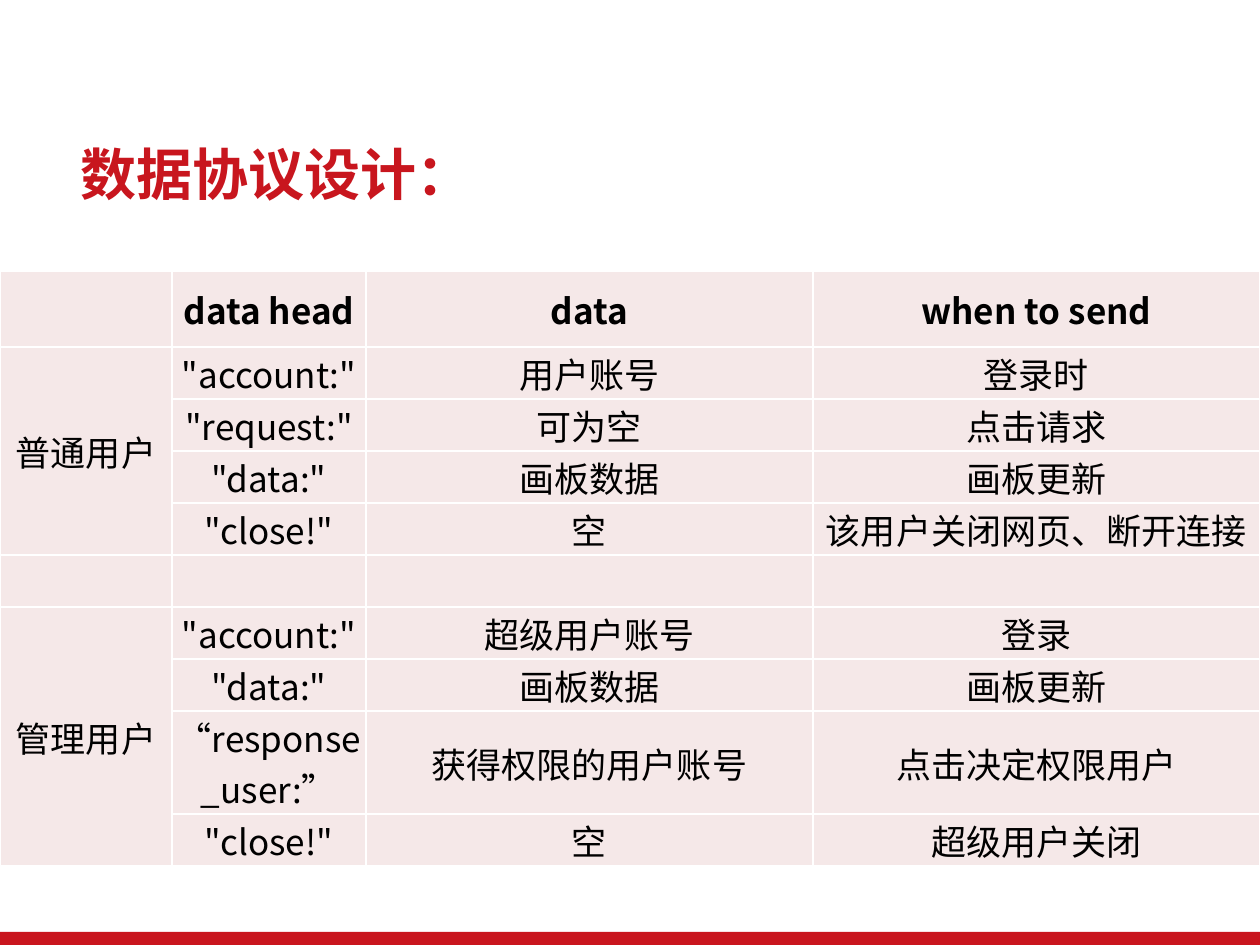
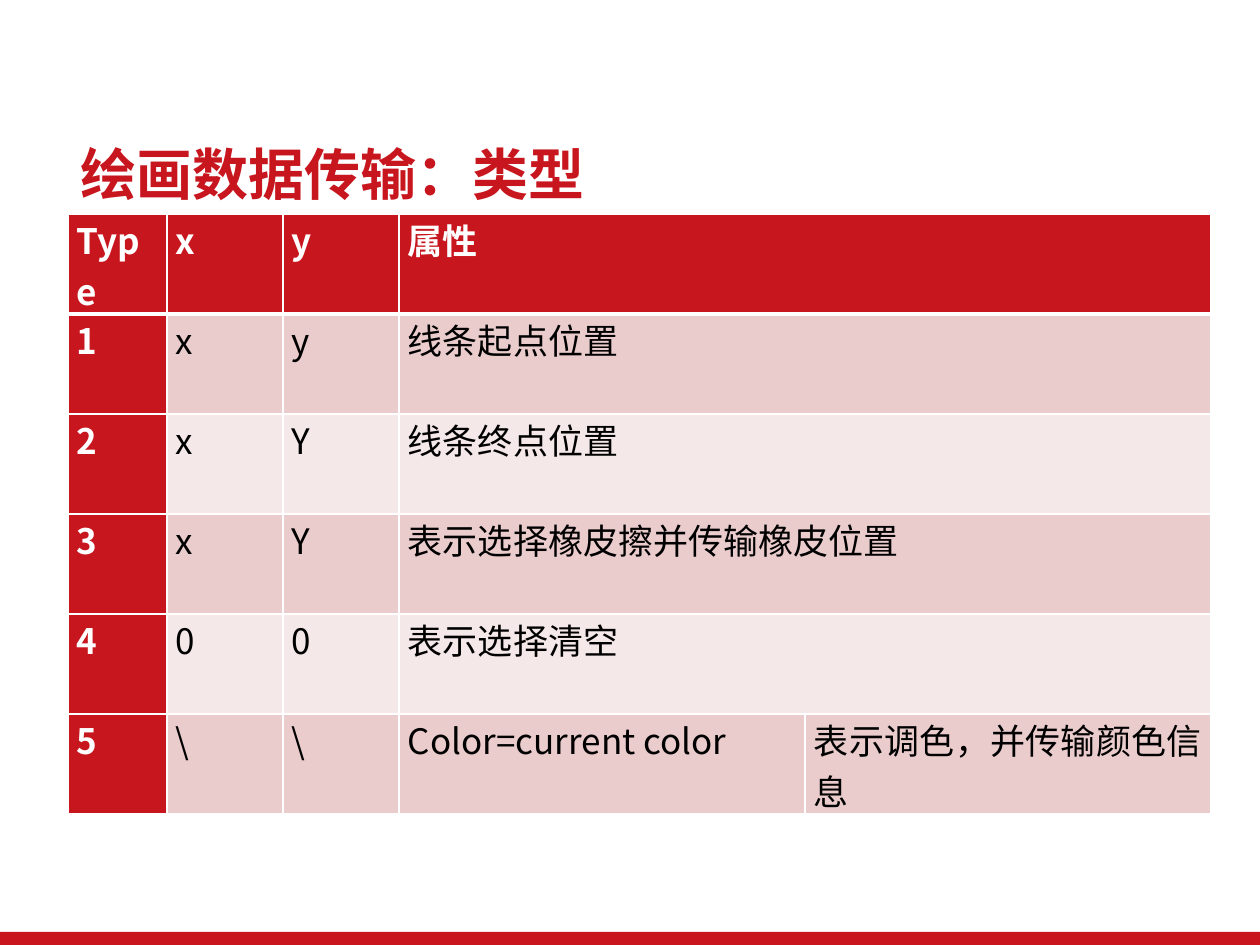
from lxml import etree
from pptx import Presentation
from pptx import util as u
from pptx.dml.color import RGBColor
from pptx.enum import shapes, text
from pptx.oxml import ns

EMU_PER_PX = 914400 / 126
SLIDE_W, SLIDE_H = 1260, 945
BAND_H = 13
FONT = "Noto Sans CJK SC"
COLORS = {
    "band": "C9151E",
    "accent": "C8161E",
    "strong_tint": "EBCCCD",
    "light_tint": "F5E8E8",
    "ink": "000000",
    "white": "FFFFFF",
}

# Formats
TITLE_FRAME = {"word_wrap": True, "vertical_anchor": text.MSO_ANCHOR.BOTTOM}
PROTOCOL_CELL = {"margin_left": 1, "margin_top": 1, "margin_right": 1, "margin_bottom": 0,
                 "vertical_anchor": text.MSO_ANCHOR.MIDDLE}
TYPE_CELL = {"margin_left": 9, "margin_top": 0, "margin_right": 9, "margin_bottom": 0,
             "vertical_anchor": text.MSO_ANCHOR.TOP}

# Contents
PROTOCOL_ROWS = [
    ("", "data head", "data", "when to send"),
    ("普通用户", '"account:"', "用户账号", "登录时"),
    ("", '"request:"', "可为空", "点击请求"),
    ("", '"data:"', "画板数据", "画板更新"),
    ("", '"close!"', "空", "该用户关闭网页、断开连接"),
    ("", "", "", ""),
    ("管理用户", '"account:"', "超级用户账号", "登录"),
    ("", '"data:"', "画板数据", "画板更新"),
    ("", "“response_user:”", "获得权限的用户账号", "点击决定权限用户"),
    ("", '"close!"', "空", "超级用户关闭"),
]
TYPE_ROWS = [
    ("Type", "x", "y", "属性", ""),
    ("1", "x", "y", "线条起点位置", ""),
    ("2", "x", "Y", "线条终点位置", ""),
    ("3", "x", "Y", "表示选择橡皮擦并传输橡皮位置", ""),
    ("4", "0", "0", "表示选择清空", ""),
    ("5", "\\", "\\", "Color=current color", "表示调色，并传输颜色信息"),
]


def px(length):
    return u.Emu(round(length * EMU_PER_PX))


def rgb(name):
    return RGBColor.from_string(COLORS[name])


def apply(target, values):
    for key, value in values.items():
        setattr(target, key, px(value) if key.startswith("margin") else value)


def write(frame, wording, size, color, bold, align):
    paragraph = frame.paragraphs[0]
    paragraph.alignment = align
    if wording:
        run = paragraph.add_run()
        run.text = wording
        apply(run.font, {"name": FONT, "size": u.Pt(size), "bold": bold})
        run.font.color.rgb = rgb(color)
        east_asian = etree.SubElement(run._r.get_or_add_rPr(), ns.qn("a:ea"))
        east_asian.set("typeface", FONT)
    return paragraph


def add_page(deck, heading):
    """Blank slide with the shared bottom band and red heading."""
    page = deck.slides.add_slide(deck.slide_layouts[6])
    band = page.shapes.add_shape(shapes.MSO_SHAPE.RECTANGLE, 0, px(SLIDE_H - BAND_H),
                                 px(SLIDE_W), px(BAND_H))
    band.shadow.inherit = False
    band.fill.solid()
    band.fill.fore_color.rgb = rgb("band")
    band.line.fill.background()

    title = page.shapes.add_textbox(px(68), px(135), px(1154), px(79)).text_frame
    apply(title, TITLE_FRAME)
    line = write(title, heading, 32, "accent", True, text.PP_ALIGN.LEFT)
    line.line_spacing = 0.9
    return page


def add_borders(cell, top=1, bottom=1):
    """White rules on all four sides, widths in points."""
    properties = cell._tc.get_or_add_tcPr()
    widths = {"lnL": 1, "lnR": 1, "lnT": top, "lnB": bottom}
    for place, (side, width) in enumerate(widths.items()):
        rule = etree.Element(ns.qn(f"a:{side}"), w=str(u.Pt(width)))
        paint = etree.SubElement(rule, ns.qn("a:solidFill"))
        etree.SubElement(paint, ns.qn("a:srgbClr"), val=COLORS["white"])
        properties.insert(place, rule)


def add_grid(page, left, top, widths, heights, rows, cell_format, align, look, header_rule=1):
    """Table whose look(row, column) gives fill, text colour and weight."""
    grid = page.shapes.add_table(len(rows), len(widths), px(left), px(top),
                                 px(sum(widths)), px(sum(heights))).table
    apply(grid, {"first_row": False, "horz_banding": False})
    for column, width in zip(grid.columns, widths):
        column.width = px(width)
    for r, (wordings, height) in enumerate(zip(rows, heights)):
        grid.rows[r].height = px(height)
        for c, wording in enumerate(wordings):
            cell = grid.cell(r, c)
            fill, color, bold = look(r, c)
            apply(cell, cell_format)
            cell.fill.solid()
            cell.fill.fore_color.rgb = rgb(fill)
            add_borders(cell, top=header_rule if r == 1 else 1,
                        bottom=header_rule if r == 0 else 1)
            write(cell.text_frame, wording, 20, color, bold, align)
    return grid


def protocol_look(row, column):
    return "light_tint", "ink", row == 0


def type_look(row, column):
    if row == 0 or column == 0:
        return "accent", "white", True
    return ("strong_tint" if row % 2 else "light_tint"), "ink", False


def main():
    deck = Presentation()
    deck.slide_width, deck.slide_height = px(SLIDE_W), px(SLIDE_H)

    # Data protocol: one group of four messages per kind of user
    page = add_page(deck, "数据协议设计：")
    heights = [76] + [52] * 7 + [103, 52]
    protocol = add_grid(page, 0, 271, [172, 194, 447, 447], heights, PROTOCOL_ROWS,
                        PROTOCOL_CELL, text.PP_ALIGN.CENTER, protocol_look)
    for first in (1, 6):
        protocol.cell(first, 0).merge(protocol.cell(first + 3, 0))

    # Drawing data: only the last type splits the attribute column
    page = add_page(deck, "绘画数据传输：类型")
    types = add_grid(page, 68, 214, [99, 116, 116, 406, 406], [100] * len(TYPE_ROWS),
                     TYPE_ROWS, TYPE_CELL, text.PP_ALIGN.JUSTIFY, type_look, header_rule=3)
    for row in range(len(TYPE_ROWS) - 1):
        types.cell(row, 3).merge(types.cell(row, 4))

    deck.save("out.pptx")


if __name__ == "__main__":
    main()
